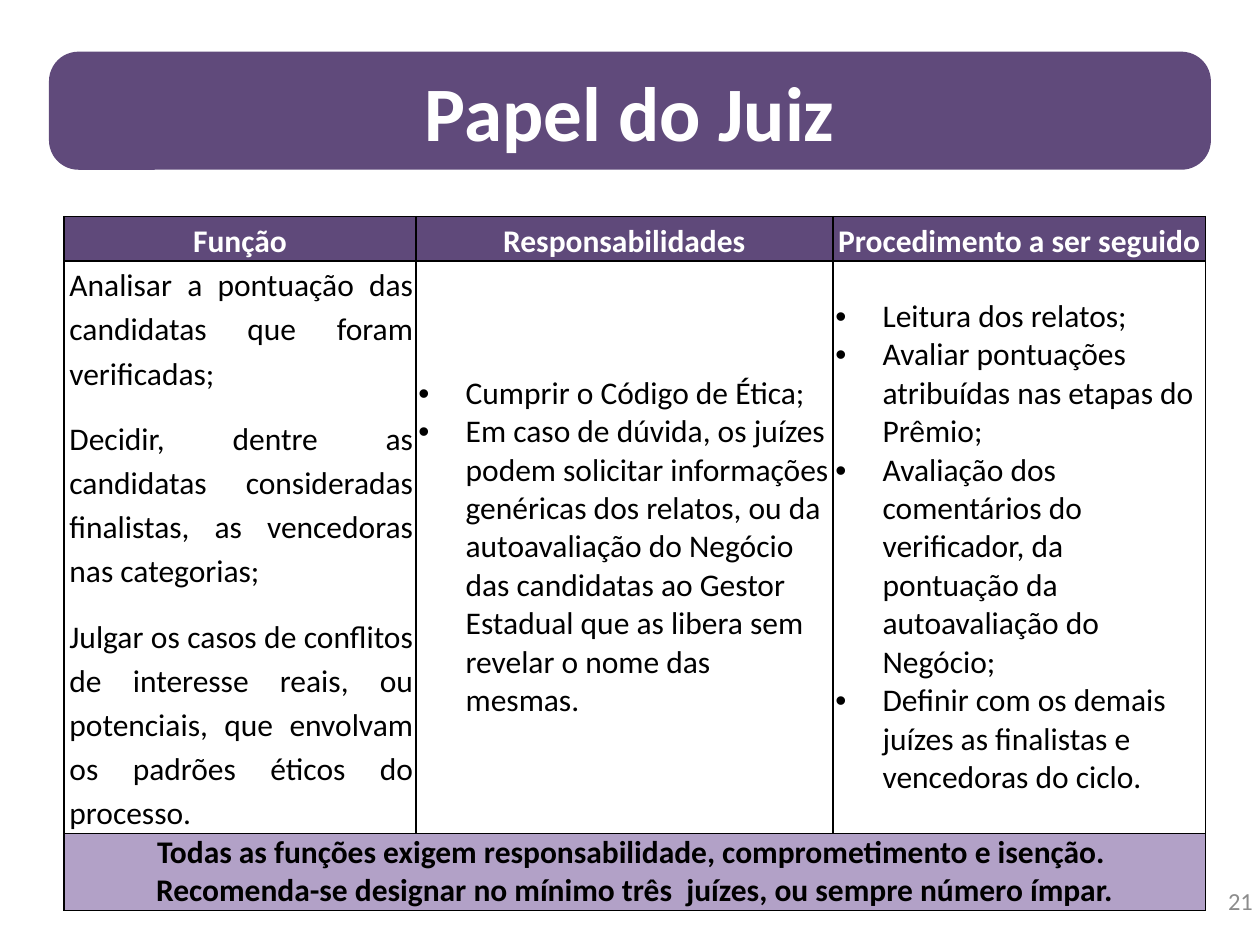
from pptx import Presentation
from pptx.dml.color import RGBColor as Rgb
from pptx.enum.shapes import MSO_SHAPE as Shape
from pptx.enum.text import MSO_ANCHOR as Anchor, PP_ALIGN as Align
from pptx.oxml import parse_xml
from pptx.oxml.ns import nsdecls
from pptx.util import Pt

COLORS = {
    "title": "604A7B",
    "header": "5F497A",
    "footer": "B2A1C7",
    "white": "FFFFFF",
    "black": "000000",
    "number": "8C8C8C",
}
COLUMN_WIDTHS = (200.9, 238.3, 213.1)
ROW_HEIGHTS = (25.2, 327, 44)
HEADERS = ("Função", "Responsabilidades", "Procedimento a ser seguido")
ROLES = (
    "Analisar a pontuação das candidatas que foram verificadas;",
    "Decidir, dentre as candidatas consideradas finalistas, as vencedoras nas categorias;",
    "Julgar os casos de conflitos de interesse reais, ou potenciais, que envolvam os padrões éticos do processo.",
)
DUTIES = (
    "Cumprir o Código de Ética;",
    "Em caso de dúvida, os juízes podem solicitar informações genéricas dos relatos, ou da "
    "autoavaliação do Negócio das candidatas ao Gestor Estadual que as libera sem revelar o nome das mesmas.",
)
STEPS = (
    "Leitura dos relatos;",
    "Avaliar pontuações atribuídas nas etapas do Prêmio;",
    "Avaliação dos comentários do verificador, da pontuação da autoavaliação do Negócio;",
    "Definir com os demais juízes as finalistas e vencedoras do ciclo.",
)
CLOSING = (
    "Todas as funções exigem responsabilidade, comprometimento e isenção. ",
    "Recomenda-se designar no mínimo três  juízes, ou sempre número ímpar.",
)


def write(frame, lines, size=18, color="black", bold=False, align=Align.LEFT,
          leading=None, gap=0, margin=0, bullet=False):
    """Fill a text frame with one formatted paragraph per line."""
    for index, line in enumerate(lines):
        para = frame.add_paragraph() if index else frame.paragraphs[0]
        properties = para._p.get_or_add_pPr()
        properties.set("marL", str(Pt(27 if bullet else margin)))
        properties.set("indent", str(Pt(-27 if bullet else 0)))
        if bullet:
            properties.append(parse_xml(f'<a:buFont {nsdecls("a")} typeface="Arial"/>'))
            properties.append(parse_xml(f'<a:buChar {nsdecls("a")} char="•"/>'))
        para.alignment = align
        if leading:
            para.line_spacing = leading
        if gap:
            para.space_after = Pt(gap)
            if index:
                para.space_before = Pt(gap)
        span = para.add_run()
        span.text = line
        span.font.name = "Calibri"
        span.font.size = Pt(size)
        span.font.bold = bold
        span.font.color.rgb = Rgb.from_string(COLORS[color])


def style_cell(cell, fill=None):
    """Give a cell its borders, margins, anchor and fill."""
    properties = cell._tc.get_or_add_tcPr()
    for side in ("lnL", "lnR", "lnT", "lnB"):
        properties.append(parse_xml(
            f'<a:{side} {nsdecls("a")} w="{Pt(1)}"><a:solidFill>'
            f'<a:srgbClr val="{COLORS["black"]}"/></a:solidFill></a:{side}>'))
    cell.margin_left = cell.margin_right = Pt(1.5)
    cell.margin_top = cell.margin_bottom = 0
    cell.vertical_anchor = Anchor.MIDDLE
    if fill:
        cell.fill.solid()
        cell.fill.fore_color.rgb = Rgb.from_string(COLORS[fill])
    else:
        cell.fill.background()


def add_title(page, text):
    """Draw the rounded title banner."""
    banner = page.shapes.add_shape(Shape.ROUNDED_RECTANGLE, Pt(28), Pt(29.5), Pt(664), Pt(67.5))
    banner.adjustments[0] = 0.25
    banner.shadow.inherit = False
    banner.fill.solid()
    banner.fill.fore_color.rgb = Rgb.from_string(COLORS["title"])
    banner.line.fill.background()
    banner.text_frame.vertical_anchor = Anchor.MIDDLE
    write(banner.text_frame, [text], size=44, color="white", bold=True, align=Align.CENTER)


def add_role_table(page):
    """Build the table of role, duties and procedure."""
    table = page.shapes.add_table(3, 3, Pt(36.7), Pt(123.8), Pt(sum(COLUMN_WIDTHS)),
                                  Pt(sum(ROW_HEIGHTS))).table
    for column, width in zip(table.columns, COLUMN_WIDTHS):
        column.width = Pt(width)
    for row, height, fill in zip(table.rows, ROW_HEIGHTS, ("header", None, "footer")):
        row.height = Pt(height)
        for cell in row.cells:
            style_cell(cell, fill)
    for index, header in enumerate(HEADERS):
        write(table.cell(0, index).text_frame, [header], color="white", bold=True,
              align=Align.CENTER, leading=1.15)
    write(table.cell(1, 0).text_frame, ROLES, align=Align.JUSTIFY, leading=1.15, gap=6, margin=1.5)
    for index, lines in enumerate((DUTIES, STEPS), start=1):
        write(table.cell(1, index).text_frame, lines, bullet=True)
    table.cell(2, 0).merge(table.cell(2, 2))
    write(table.cell(2, 0).text_frame, CLOSING, bold=True, align=Align.CENTER)


def add_page_number(page, number):
    """Place the page number at the lower right."""
    box = page.shapes.add_textbox(Pt(555), Pt(500.5), Pt(168), Pt(28.8))
    box.text_frame.word_wrap = True
    box.text_frame.vertical_anchor = Anchor.MIDDLE
    write(box.text_frame, [number], size=14, color="number", align=Align.RIGHT)


def main():
    """Build and save the slide."""
    deck = Presentation()
    deck.slide_width, deck.slide_height = Pt(720), Pt(540)
    page = deck.slides.add_slide(deck.slide_layouts[6])
    add_role_table(page)
    add_title(page, "Papel do Juiz")
    add_page_number(page, "21")
    deck.save("out.pptx")


if __name__ == "__main__":
    main()
